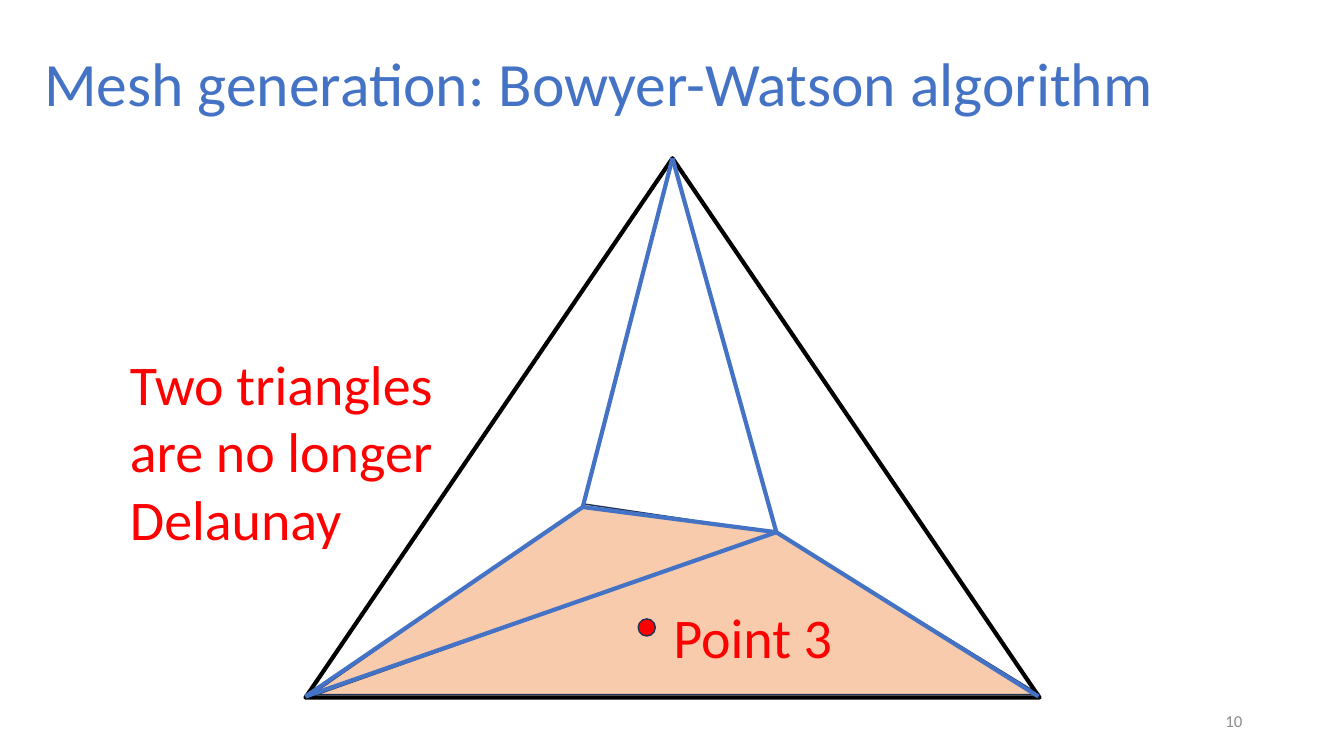
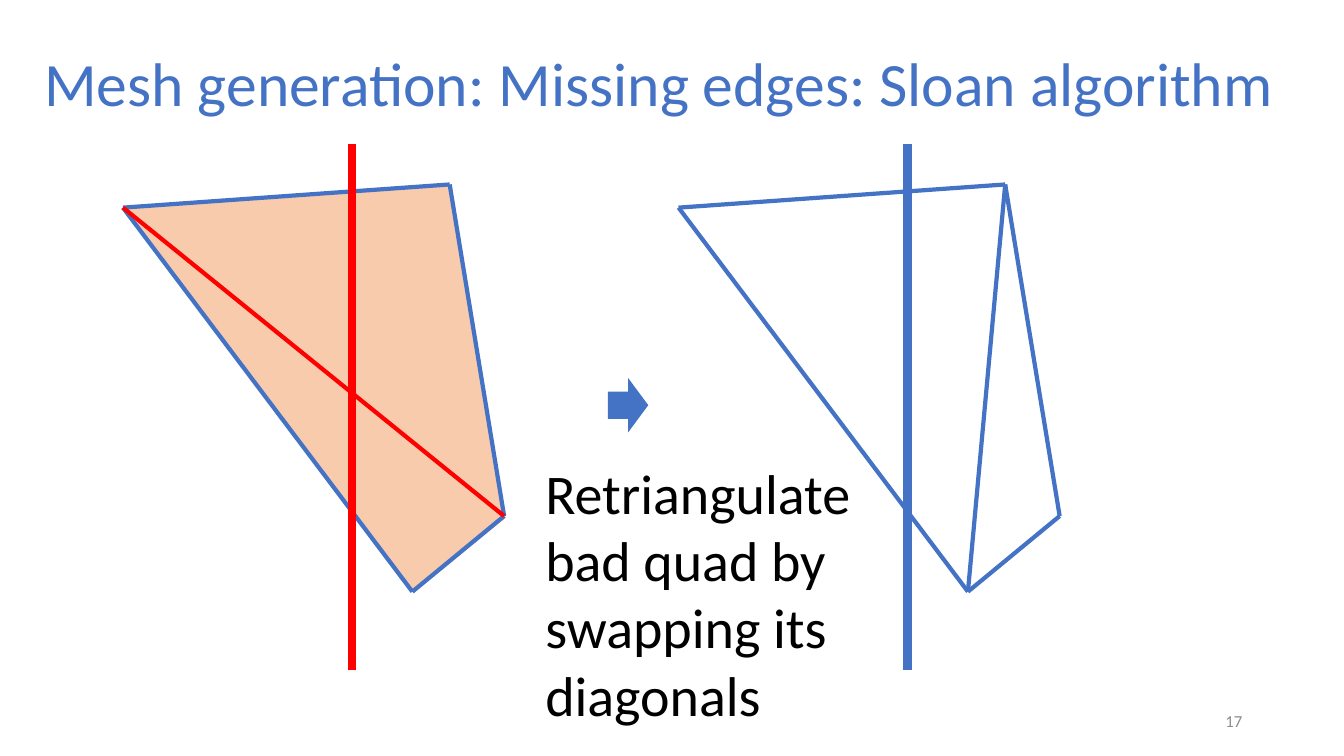
"""Build two slides on mesh generation: point insertion and edge swapping."""
import pptx
import pptx.dml.color
import pptx.enum.shapes
import pptx.enum.text
import pptx.oxml.ns
import pptx.util
import lxml.etree

PX = 9144
BLUE, RED, BLACK, GREY = "4472C4", "FF0000", "000000", "8C8C8C"
PEACH, NAVY = "F8CBAD", "1E3256"
FONT = "Calibri"
SHAPE = pptx.enum.shapes.MSO_SHAPE
ALIGN = pptx.enum.text.PP_ALIGN
ANCHOR = pptx.enum.text.MSO_ANCHOR
rgb = pptx.dml.color.RGBColor.from_string


def add_text(slide, box, lines, size, color, anchor=ANCHOR.TOP, align=ALIGN.LEFT, spacing=1.0):
    """Write one paragraph per line in a wrapping text box."""
    frame = slide.shapes.add_textbox(*(n * PX for n in box)).text_frame
    frame.word_wrap = True
    frame.vertical_anchor = anchor
    frame.text = "\n".join(lines)
    for paragraph in frame.paragraphs:
        paragraph.alignment = align
        paragraph.line_spacing = spacing
        paragraph.font.name = FONT
        paragraph.font.size = pptx.util.Pt(size)
        paragraph.font.color.rgb = rgb(color)


def add_figure(slide, kind, box, fill=None, line=None, width=1, peak=None, turn=0):
    """Draw a preset shape with optional fill, outline, apex position and rotation."""
    figure = slide.shapes.add_shape(kind, *(n * PX for n in box))
    figure.shadow.inherit = False
    figure.rotation = turn
    if peak is not None:
        figure.adjustments[0] = peak
    if fill:
        figure.fill.solid()
        figure.fill.fore_color.rgb = rgb(fill)
    else:
        figure.fill.background()
    if line:
        figure.line.color.rgb = rgb(line)
        figure.line.width = pptx.util.Pt(width)
    else:
        figure.line.fill.background()


deck = pptx.Presentation()
deck.slide_width, deck.slide_height = 1333 * PX, 750 * PX
insertion, swapping = (deck.slides.add_slide(deck.slide_layouts[6]) for _ in range(2))

add_figure(insertion, SHAPE.ISOSCELES_TRIANGLE, (305, 528, 726, 161), PEACH, NAVY, peak=0.64)
add_figure(insertion, SHAPE.ISOSCELES_TRIANGLE, (275, 524, 493, 89), PEACH, NAVY, peak=0.66, turn=340.5)
add_figure(insertion, SHAPE.ISOSCELES_TRIANGLE, (303, 157, 728, 535), line=BLACK, width=3)
add_figure(swapping, SHAPE.ISOSCELES_TRIANGLE, (34, 347, 486, 116), PEACH, peak=0.05, turn=219.1)
add_figure(swapping, SHAPE.ISOSCELES_TRIANGLE, (137, 162, 486, 222), PEACH, peak=0.49, turn=38.9)

for slide, title, width, number in [
    (insertion, "Mesh generation: Bowyer-Watson algorithm", 1137, "10"),
    (swapping, "Mesh generation: Missing edges: Sloan algorithm", 1269, "17"),
]:
    add_text(slide, (34, 28, width, 115), [title], 44, BLUE, ANCHOR.MIDDLE, spacing=0.9)
    add_text(slide, (942, 695, 300, 40), [number], 12, GREY, ANCHOR.MIDDLE, ALIGN.RIGHT)

apex, left_corner, right_corner = (667, 157), (303, 691), (1030, 691)
point_1, point_2 = (578, 503), (770, 528)
edges = [
    (insertion, start, end, BLUE, 3)
    for start, end in [
        (apex, point_2), (point_2, left_corner), (point_2, right_corner),
        (apex, point_1), (point_2, point_1), (point_1, left_corner),
    ]
]
for shift, diagonal, highlight in [(0, ("left", "right"), RED), (551, ("bottom", "top"), BLUE)]:
    quad = {
        "left": (122 + shift, 206), "top": (446 + shift, 183),
        "right": (500 + shift, 512), "bottom": (409 + shift, 587),
    }
    corners = list(quad.values())
    edges += [(swapping, a, b, BLUE, 3) for a, b in zip(corners, corners[1:] + corners[:1])]
    edges.append((swapping, quad[diagonal[0]], quad[diagonal[1]], highlight, 3))
    edges.append((swapping, (349 + shift, 143), (349 + shift, 665), highlight, 6))

for slide, start, end, color, width in edges:
    edge = slide.shapes.add_connector(
        pptx.enum.shapes.MSO_CONNECTOR.STRAIGHT, *(n * PX for n in start + end))
    edge.line.color.rgb = rgb(color)
    edge.line.width = pptx.util.Pt(width)
    lxml.etree.SubElement(edge._element.spPr, pptx.oxml.ns.qn("a:effectLst"))

add_figure(insertion, SHAPE.OVAL, (633, 614, 17, 17), RED, NAVY)
add_text(insertion, (658, 593, 192, 77), ["Point 3"], 40, RED)
add_text(insertion, (119, 342, 363, 212), ["Two triangles", "are no longer", "Delaunay"], 40, RED)

add_figure(swapping, SHAPE.RIGHT_ARROW, (603, 375, 40, 54), BLUE)
add_text(swapping, (531, 450, 418, 279), ["Retriangulate bad quad by swapping its diagonals"], 40, BLACK)

deck.save("out.pptx")
